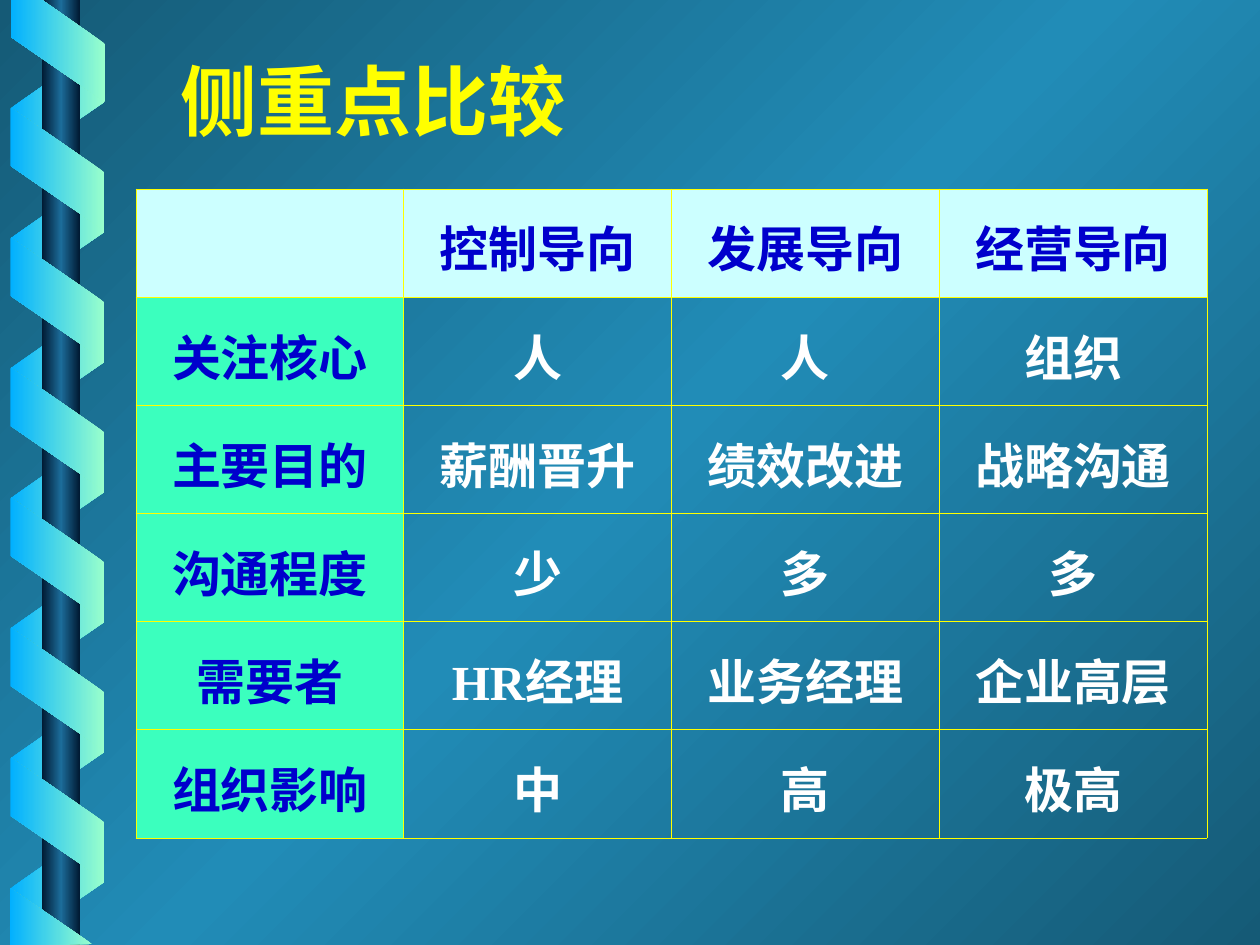
from dataclasses import dataclass

import lxml.etree
import pptx
import pptx.dml.color
import pptx.enum.shapes
import pptx.enum.text
import pptx.oxml.ns
import pptx.util

qn = pptx.oxml.ns.qn
PX_PER_INCH = 126


def px(length):
    return pptx.util.Emu(round(length * 914400 / PX_PER_INCH))


def rgb(color):
    return pptx.dml.color.RGBColor.from_string(color)


@dataclass(frozen=True)
class Theme:
    font: str = "Times New Roman"
    title_size: int = 44
    cell_size: int = 28
    title: str = "FFFF00"
    label: str = "0000CC"
    value: str = "FFFFFF"
    header_fill: str = "CCFFFF"
    label_fill: str = "3BFFBE"
    border: str = "FFFF00"
    border_width: float = 0.45
    backdrop: tuple = ("155A76", "218CB7", "155A76")
    rod: tuple = ("001932", "1C6D9A", "001932")
    ribbon_back: tuple = ("01B0FF", "99FFCC")
    ribbon_front: tuple = ("99FFCC", "01B0FF")


class SlideBuilder:
    def __init__(self, slide, theme):
        self.slide = slide
        self.theme = theme

    def gradient(self, fill, element, colors, angle):
        fill.gradient()
        fill.gradient_angle = 360 - angle
        stops = element.find(".//" + qn("a:gsLst"))
        for stop in list(stops):
            stops.remove(stop)
        for i, color in enumerate(colors):
            position = str(100000 * i // (len(colors) - 1))
            stop = lxml.etree.SubElement(stops, qn("a:gs"), pos=position)
            lxml.etree.SubElement(stop, qn("a:srgbClr"), val=color)

    def background(self, colors, angle):
        self.gradient(self.slide.background.fill, self.slide.element, colors, angle)

    def finish(self, shape, colors, angle):
        shape.shadow.inherit = False
        shape.line.fill.background()
        self.gradient(shape.fill, shape.element, colors, angle)
        return shape

    def shape(self, kind, left, top, width, height, colors, angle):
        shape = self.slide.shapes.add_shape(kind, px(left), px(top), px(width), px(height))
        return self.finish(shape, colors, angle)

    def ribbon(self, top, colors, rotation, flipped=False):
        kind = pptx.enum.shapes.MSO_SHAPE.PARALLELOGRAM
        band = self.shape(kind, -4, top, 123, 94, colors, 270)
        band.adjustments[0] = 0.69
        band.rotation = rotation
        if flipped:
            band.element.spPr.find(qn("a:xfrm")).set("flipH", "1")

    def outline(self, points, colors, angle):
        start, *rest = [(px(x), px(y)) for x, y in points]
        builder = self.slide.shapes.build_freeform(*start)
        builder.add_line_segments(rest, close=True)
        self.finish(builder.convert_to_shape(), colors, angle)

    def run(self, paragraph, text, size, color):
        run = paragraph.add_run()
        run.text = text
        run.font.name = self.theme.font
        run.font.size = pptx.util.Pt(size)
        run.font.bold = True
        run.font.color.rgb = rgb(color)

    def title(self, text, left, top, width, height):
        box = self.slide.shapes.add_textbox(px(left), px(top), px(width), px(height))
        frame = box.text_frame
        frame.word_wrap = True
        frame.vertical_anchor = pptx.enum.text.MSO_ANCHOR.BOTTOM
        self.run(frame.paragraphs[0], text, self.theme.title_size, self.theme.title)

    def borders(self, cell):
        properties = cell._tc.get_or_add_tcPr()
        width = str(int(pptx.util.Pt(self.theme.border_width)))
        for i, side in enumerate(("lnL", "lnR", "lnT", "lnB")):
            line = lxml.etree.Element(qn("a:" + side), w=width)
            solid = lxml.etree.SubElement(line, qn("a:solidFill"))
            lxml.etree.SubElement(solid, qn("a:srgbClr"), val=self.theme.border)
            properties.insert(i, line)

    def cell(self, cell, text, color, fill):
        cell.vertical_anchor = pptx.enum.text.MSO_ANCHOR.MIDDLE
        if fill:
            cell.fill.solid()
            cell.fill.fore_color.rgb = rgb(fill)
        else:
            cell.fill.background()
        self.borders(cell)
        paragraph = cell.text_frame.paragraphs[0]
        paragraph.alignment = pptx.enum.text.PP_ALIGN.CENTER
        paragraph.line_spacing = 1.1
        if text:
            self.run(paragraph, text, self.theme.cell_size, color)

    def table(self, rows, left, top, width, height):
        theme = self.theme
        table = self.slide.shapes.add_table(
            len(rows), len(rows[0]), px(left), px(top), px(width), px(height)
        ).table
        table.first_row = False
        table.horz_banding = False
        for column in table.columns:
            column.width = px(width / len(rows[0]))
        for r, texts in enumerate(rows):
            table.rows[r].height = px(height / len(rows))
            for c, text in enumerate(texts):
                if r == 0:
                    color, fill = theme.label, theme.header_fill
                elif c == 0:
                    color, fill = theme.label, theme.label_fill
                else:
                    color, fill = theme.value, None
                self.cell(table.cell(r, c), text, color, fill)


COMPARISON = [
    ("", "控制导向", "发展导向", "经营导向"),
    ("关注核心", "人", "人", "组织"),
    ("主要目的", "薪酬晋升", "绩效改进", "战略沟通"),
    ("沟通程度", "少", "多", "多"),
    ("需要者", "HR经理", "业务经理", "企业高层"),
    ("组织影响", "中", "高", "极高"),
]
RIBBON_PITCH = 130


def main():
    deck = pptx.Presentation()
    deck.slide_width, deck.slide_height = px(1260), px(945)
    theme = Theme()
    page = SlideBuilder(deck.slides.add_slide(deck.slide_layouts[6]), theme)

    page.background(theme.backdrop, 225)
    for turn in range(7):
        page.ribbon(58 + turn * RIBBON_PITCH, theme.ribbon_back, 90, flipped=True)
    page.shape(pptx.enum.shapes.MSO_SHAPE.RECTANGLE, 42, 0, 38, 945, theme.rod, 180)
    for turn in range(6):
        page.ribbon(122 + turn * RIBBON_PITCH, theme.ribbon_front, 270)
    ribbon_start = [(11, 0), (11, 37), (105, 102), (105, 44), (42, 0)]
    ribbon_end = [(92, 944), (10, 888), (10, 945)]
    for points in (ribbon_start, ribbon_end):
        page.outline(points, theme.ribbon_front, 180)

    page.title("侧重点比较", 168, 42, 1071, 110)
    page.table(COMPARISON, 136, 189, 1071, 649)
    deck.save("out.pptx")


if __name__ == "__main__":
    main()
